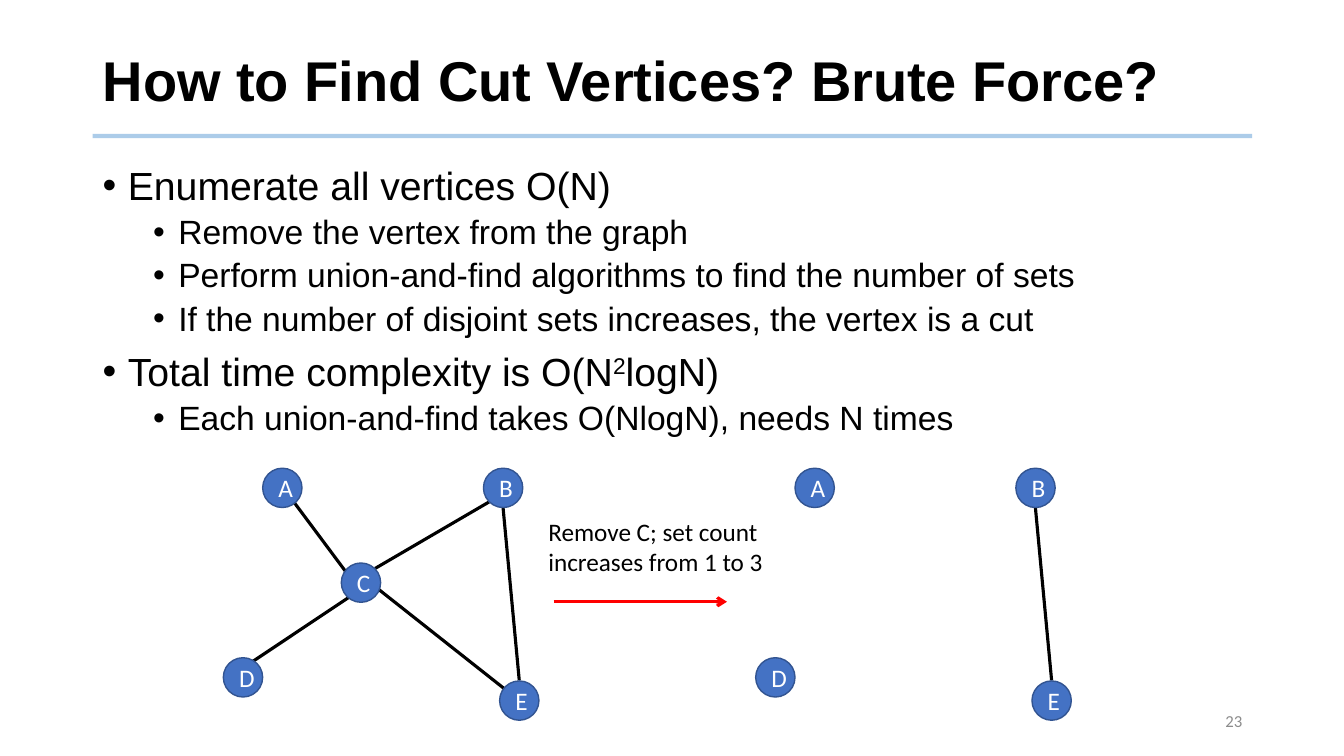
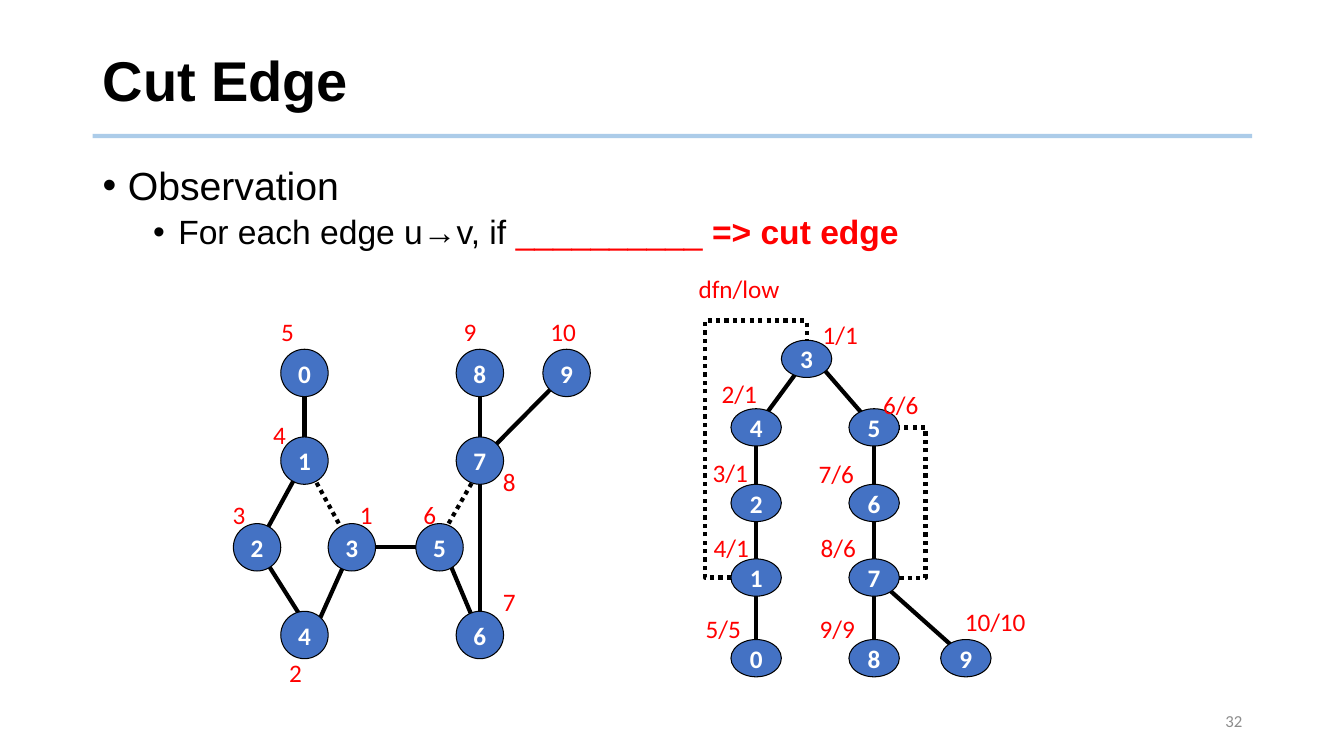
from pptx import Presentation
from pptx.dml.color import RGBColor
from pptx.enum.dml import MSO_LINE
from pptx.enum.shapes import MSO_CONNECTOR, MSO_SHAPE
from pptx.enum.text import MSO_ANCHOR, MSO_AUTO_SIZE, PP_ALIGN
from pptx.oxml.ns import qn
from pptx.util import Inches, Pt
from lxml.etree import SubElement

BLACK = RGBColor(0x00, 0x00, 0x00)
WHITE = RGBColor(0xFF, 0xFF, 0xFF)
RED = RGBColor(0xFF, 0x00, 0x00)
GRAY = RGBColor(0x8C, 0x8C, 0x8C)
NODE_BLUE = RGBColor(0x44, 0x72, 0xC4)
NODE_BORDER = RGBColor(0x32, 0x54, 0x91)
RULE_BLUE = RGBColor(0x5B, 0x9B, 0xD5)
HEADING_FONT = "Arial"
LABEL_FONT = "Calibri"

MARGIN, CONTENT_WIDTH = 0.92, 11.5
LEVELS = [
    {"size": 28, "indent": 0.25, "before": 10},
    {"size": 24, "indent": 0.75, "before": 5},
]


def add_span(para, text, font=LABEL_FONT, size=18, color=BLACK, bold=False, baseline=None):
    span = para.add_run()
    span.text = text
    span.font.name = font
    span.font.size = Pt(size)
    span.font.bold = bold
    span.font.color.rgb = color
    if baseline:
        span._r.get_or_add_rPr().set("baseline", str(baseline * 1000))


def add_box(page, left, top, width, height, anchor=MSO_ANCHOR.TOP, wrap=True, grow=False):
    box = page.shapes.add_textbox(Inches(left), Inches(top), Inches(width), Inches(height))
    frame = box.text_frame
    frame.word_wrap = wrap
    frame.vertical_anchor = anchor
    frame.auto_size = MSO_AUTO_SIZE.SHAPE_TO_FIT_TEXT if grow else MSO_AUTO_SIZE.NONE
    return frame


def style_line(line, color, weight, dotted=False):
    line.color.rgb = color
    line.width = Pt(weight)
    if dotted:
        line.dash_style = MSO_LINE.ROUND_DOT


def add_line(page, start, end, color=BLACK, weight=2.25, dotted=False, arrow=False, alpha=None):
    points = [Inches(value) for value in (*start, *end)]
    connector = page.shapes.add_connector(MSO_CONNECTOR.STRAIGHT, *points)
    style_line(connector.line, color, weight, dotted)
    properties = connector._element.spPr
    outline = properties.find(qn("a:ln"))
    if alpha:
        SubElement(next(outline.iter(qn("a:srgbClr"))), qn("a:alpha"), val=str(alpha * 1000))
    if arrow:
        SubElement(outline, qn("a:tailEnd"), type="arrow")
    SubElement(properties, qn("a:effectLst"))


def add_dotted_route(page, left, top, points):
    corners = [(Inches(left + x), Inches(top + y)) for x, y in points]
    builder = page.shapes.build_freeform(*corners[0])
    builder.add_line_segments(corners[1:], close=False)
    route = builder.convert_to_shape()
    route.shadow.inherit = False
    route.fill.background()
    style_line(route.line, BLACK, 3, dotted=True)


def add_node(page, center, name, size, border, weight, bold, wrap):
    width, height = size
    node = page.shapes.add_shape(
        MSO_SHAPE.OVAL,
        Inches(center[0] - width / 2),
        Inches(center[1] - height / 2),
        Inches(width),
        Inches(height),
    )
    node.shadow.inherit = False
    node.fill.solid()
    node.fill.fore_color.rgb = NODE_BLUE
    style_line(node.line, border, weight)
    frame = node.text_frame
    frame.word_wrap = wrap
    frame.vertical_anchor = MSO_ANCHOR.MIDDLE
    para = frame.paragraphs[0]
    para.alignment = PP_ALIGN.CENTER
    add_span(para, name, color=WHITE, bold=bold)


def add_label(page, left, top, text, width=None):
    width = width or 0.22 + 0.12 * len(text)
    frame = add_box(page, left, top, width, 0.4, wrap=False, grow=True)
    add_span(frame.paragraphs[0], text, color=RED)


def add_graph(page, left, top, nodes, edges, size, labels=None, dotted=(), edge_weight=3,
              border=BLACK, border_weight=0.75, bold=True, wrap=False):
    def place(name, shift=(0, 0)):
        x, y = nodes[name]
        return left + x + shift[0], top + y + shift[1]

    for pair, *shifts in edges:
        start_shift, end_shift = shifts or ((0, 0), (0, 0))
        add_line(page, place(pair[0], start_shift), place(pair[1], end_shift),
                 weight=edge_weight, dotted=pair in dotted)
    for name in nodes:
        add_node(page, place(name), name, size, border, border_weight, bold, wrap)
    for name, (text, *shift) in (labels or {}).items():
        add_label(page, *place(name, shift), text)


def add_outline(page, items):
    frame = add_box(page, MARGIN, 1.6, CONTENT_WIDTH, 5.15)
    for index, (level, spans) in enumerate(items):
        para = frame.add_paragraph() if index else frame.paragraphs[0]
        style = LEVELS[level]
        para.level = level
        para.line_spacing = 0.9
        para.space_before = Pt(style["before"])
        properties = para._p.get_or_add_pPr()
        properties.set("marL", str(Inches(style["indent"])))
        properties.set("indent", str(Inches(-0.25)))
        SubElement(properties, qn("a:buFont"), typeface=HEADING_FONT)
        SubElement(properties, qn("a:buChar"), char="•")
        for text, extra in spans:
            add_span(para, text, font=HEADING_FONT, size=style["size"], **extra)


def add_page(deck, title, number, items):
    page = deck.slides.add_slide(deck.slide_layouts[6])
    add_line(page, (MARGIN, 1.35), (MARGIN + CONTENT_WIDTH, 1.35), RULE_BLUE, 3, alpha=50)
    para = add_box(page, 9.42, 6.95, 3, 0.4, MSO_ANCHOR.MIDDLE).paragraphs[0]
    para.alignment = PP_ALIGN.RIGHT
    add_span(para, str(number), size=12, color=GRAY)
    para = add_box(page, MARGIN, 0.28, CONTENT_WIDTH, 1.1, MSO_ANCHOR.MIDDLE).paragraphs[0]
    para.line_spacing = 0.9
    add_span(para, title, font=HEADING_FONT, size=40, bold=True)
    add_outline(page, items)
    return page


def build_cut_vertices(deck):
    page = add_page(deck, "How to Find Cut Vertices? Brute Force?", 23, [
        (0, [("Enumerate all vertices O(N)", {})]),
        (1, [("Remove the vertex from the graph", {})]),
        (1, [("Perform union-and-find algorithms to find the number of sets", {})]),
        (1, [("If the number of disjoint sets increases, the vertex is a cut", {})]),
        (0, [("Total time complexity is O(N", {}), ("2", {"baseline": 30}), ("logN)", {})]),
        (1, [("Each union-and-find takes O(NlogN), needs N times", {})]),
    ])
    nodes = {"A": (0.39, 0), "C": (1.17, 0.94), "B": (2.58, 0), "D": (0, 1.88), "E": (2.74, 2.11)}
    edges = [
        ("BE", (0, 0.2), (0, -0.2)),
        ("CB", (0.14, -0.14), (-0.14, 0.14)),
        ("CE", (0.04, -0.04), (-0.05, -0.04)),
        ("AC", (0.04, 0.04), (-0.04, 0.04)),
        ("DC", (0.04, -0.12), (0.04, 0.04)),
    ]
    style = {"size": (0.39, 0.39), "edge_weight": 2.25, "border": NODE_BORDER,
             "border_weight": 1, "bold": False, "wrap": True}
    left, top = 2.41, 4.84
    add_graph(page, left, top, nodes, edges, **style)
    remaining = {name: center for name, center in nodes.items() if name != "C"}
    kept = [edge for edge in edges if "C" not in edge[0]]
    add_graph(page, left + 5.28, top, remaining, kept, **style)
    caption = add_box(page, 5.34, 5.07, 2.56, 0.71, grow=True)
    add_span(caption.paragraphs[0], "Remove C; set count increases from 1 to 3")
    add_line(page, (5.49, 5.97), (7.21, 5.97), RED, arrow=True)


def add_input_graph(page, left, top):
    row = [0, 0.87, 1.73, 2.6]
    nodes = {
        "0": (0.47, row[0]), "1": (0.47, row[1]), "2": (0, row[2]), "3": (0.94, row[2]),
        "4": (0.47, row[3]), "5": (1.81, row[2]), "7": (2.21, row[1]), "6": (2.21, row[3]),
        "8": (2.21, row[0]), "9": (3.07, row[0]),
    }
    edges = [
        ("76",), ("53",), ("01",), ("12",), ("13",), ("87",), ("97",),
        ("24", (0, 0), (0.08, 0)),
        ("34", (0, 0), (0.08, 0)),
        ("65", (0, 0), (0, -0.08)),
        ("75", (0, 0.08), (0, -0.08)),
    ]
    labels = {
        "3": ("1", -0.02, -0.53), "4": ("2", -0.25, 0.17), "2": ("3", -0.34, -0.53),
        "1": ("4", -0.41, -0.46), "0": ("5", -0.33, -0.61), "5": ("6", -0.26, -0.53),
        "6": ("7", 0.13, -0.53), "7": ("8", 0.13, 0.01), "8": ("9", -0.26, -0.61),
        "9": ("10", -0.26, -0.61),
    }
    add_graph(page, left, top, nodes, edges, (0.47, 0.47), labels, dotted=("13", "75"))


def add_search_tree(page, left, top):
    row = [0.68, 1.43, 2.17, 2.97]
    right = 1.17
    nodes = {"3": (0.5, 0), "9": (2.08, row[3])}
    nodes.update({name: (0, y) for name, y in zip("4210", row)})
    nodes.update({name: (right, y) for name, y in zip("5678", row)})
    edges = [(pair,) for pair in ("34", "42", "21", "10", "56", "67", "78")]
    edges += [("35", (0.08, 0), (0, 0)), ("79", (0.08, 0.06), (0, 0))]
    labels = {
        "3": ("1/1", 0.06, -0.44), "4": ("2/1", -0.44, -0.54), "2": ("3/1", -0.53, -0.5),
        "1": ("4/1", -0.52, -0.5), "0": ("5/5", -0.6, -0.49), "5": ("6/6", -0.01, -0.43),
        "6": ("7/6", -0.65, -0.49), "7": ("8/6", -0.63, -0.5), "8": ("9/9", -0.64, -0.49),
        "9": ("10/10", -0.11, -0.56),
    }
    add_graph(page, left, top, nodes, edges, (0.5, 0.37), labels)
    add_dotted_route(page, left, top, [
        (-0.25, row[2]), (-0.51, row[2]), (-0.51, -0.38), (0.5, -0.38), (0.5, -0.18)])
    add_dotted_route(page, left, top, [
        (right + 0.25, row[2]), (right + 0.51, row[2]),
        (right + 0.51, row[0]), (right + 0.25, row[0])])
    add_label(page, left - 0.67, top - 0.9, "dfn/low", width=1.01)


def build_cut_edge(deck):
    page = add_page(deck, "Cut Edge", 32, [
        (0, [("Observation", {})]),
        (1, [("For each edge u→v, if ", {}), ("__________ ", {"color": RED}),
             ("=> cut edge", {"color": RED, "bold": True})]),
    ])
    add_input_graph(page, 2.55, 3.7)
    add_search_tree(page, 7.5, 3.56)


def main():
    deck = Presentation()
    deck.slide_width = Inches(13.33)
    deck.slide_height = Inches(7.5)
    build_cut_vertices(deck)
    build_cut_edge(deck)
    deck.save("out.pptx")


if __name__ == "__main__":
    main()
